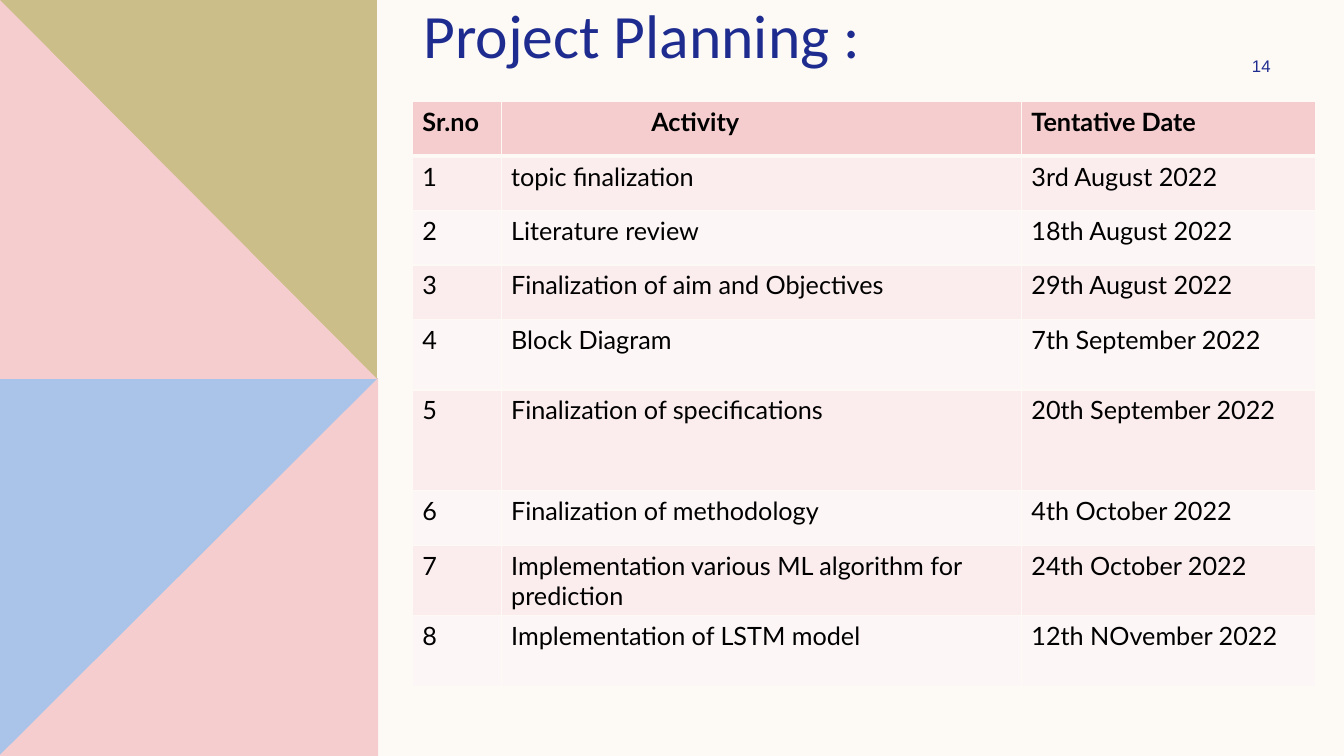
"""Build the project planning slide with its schedule table."""
from dataclasses import dataclass

from lxml import etree
from pptx import Presentation
from pptx.dml.color import RGBColor
from pptx.enum.text import MSO_ANCHOR, PP_ALIGN
from pptx.oxml.ns import qn
from pptx.util import Inches, Pt

MIDDLE = MSO_ANCHOR.MIDDLE
LEFT, CENTER = PP_ALIGN.LEFT, PP_ALIGN.CENTER

COLORS = {
    "cream": "FDFAF6",
    "blue": "AAC3E8",
    "pink": "F5CDCE",
    "olive": "CCBE89",
    "navy": "1F2C8F",
    "black": "000000",
    "band_dark": "FBEDED",
    "band_light": "FDF6F6",
}


@dataclass
class Panel:
    color: str
    corners: list[tuple[float, float]]


@dataclass
class Caption:
    text: str
    box: tuple[float, float, float, float]
    font: str
    size: int
    align: PP_ALIGN


@dataclass
class Activity:
    name: str
    date: str
    height: float = 0.54


PANELS = [
    Panel("blue", [(0, 3.75), (3.75, 3.75), (3.75, 7.5), (0, 7.5)]),
    Panel("pink", [(3.75, 3.75), (3.75, 7.5), (0, 7.5), (0, 7.49)]),
    Panel("olive", [(0, 0), (3.74, 0), (3.74, 3.76), (0, 3.76)]),
    Panel("pink", [(0, 0), (3.74, 3.76), (0, 3.76)]),
]
CAPTIONS = [
    Caption("Project Planning :", (4.1, -0.13, 5.14, 0.93), "Calibri", 44, LEFT),
    Caption("14", (11.97, 0.5, 1.08, 0.3), "Arial", 12, CENTER),
]
HEADINGS = ("Sr.no", "Activity", "Tentative Date")
HEADER_HEIGHT = 0.54
ACTIVITY_INDENT = 1.49
COLUMN_WIDTHS = (0.88, 5.16, 2.92)
ACTIVITIES = [
    Activity("topic finalization", "3rd August 2022"),
    Activity("Literature review", "18th August 2022"),
    Activity("Finalization of aim and Objectives", "29th August 2022"),
    Activity("Block Diagram", "7th September 2022", 0.7),
    Activity("Finalization of specifications", "20th September 2022", 1),
    Activity("Finalization of methodology", "4th October 2022"),
    Activity("Implementation various ML algorithm for prediction", "24th October 2022", 0.7),
    Activity("Implementation of LSTM model", "12th NOvember 2022", 0.7),
]


def rgb(color: str) -> RGBColor:
    return RGBColor.from_string(COLORS[color])


def style_font(paragraph, font: str, size: int, color: str, bold: bool = False) -> None:
    paragraph.font.name = font
    paragraph.font.size = Pt(size)
    paragraph.font.bold = bold
    paragraph.font.color.rgb = rgb(color)


def draw_panel(slide, panel: Panel) -> None:
    corners = [(Inches(x), Inches(y)) for x, y in panel.corners]
    builder = slide.shapes.build_freeform(*corners[0])
    builder.add_line_segments(corners[1:], close=True)
    outline = builder.convert_to_shape()
    outline.shadow.inherit = False
    outline.fill.solid()
    outline.fill.fore_color.rgb = rgb(panel.color)
    outline.line.fill.background()


def draw_caption(slide, caption: Caption) -> None:
    frame = slide.shapes.add_textbox(*map(Inches, caption.box)).text_frame
    frame.word_wrap = True
    frame.vertical_anchor = MIDDLE
    paragraph = frame.paragraphs[0]
    paragraph.text = caption.text
    paragraph.alignment = caption.align
    style_font(paragraph, caption.font, caption.size, "navy")


def set_borders(cell, top: int, bottom: int) -> None:
    properties = cell._tc.get_or_add_tcPr()
    widths = {"a:lnL": 1, "a:lnR": 1, "a:lnT": top, "a:lnB": bottom}
    for position, (tag, width) in enumerate(widths.items()):
        border = etree.Element(qn(tag), w=str(Pt(width)))
        fill = etree.SubElement(border, qn("a:solidFill"))
        etree.SubElement(fill, qn("a:srgbClr"), val=COLORS["cream"])
        properties.insert(position, border)


def draw_schedule(slide) -> None:
    rows = [HEADINGS] + [(str(n), a.name, a.date) for n, a in enumerate(ACTIVITIES, 1)]
    heights = [HEADER_HEIGHT] + [a.height for a in ACTIVITIES]
    schedule = slide.shapes.add_table(
        len(rows), len(HEADINGS), Inches(4.09), Inches(1.01),
        Inches(sum(COLUMN_WIDTHS)), Inches(sum(heights)),
    ).table
    for column, width in zip(schedule.columns, COLUMN_WIDTHS):
        column.width = Inches(width)
    for r, (texts, height) in enumerate(zip(rows, heights)):
        schedule.rows[r].height = Inches(height)
        band = "pink" if r == 0 else ("band_light", "band_dark")[r % 2]
        for c, text in enumerate(texts):
            cell = schedule.cell(r, c)
            cell.text = text
            cell.fill.solid()
            cell.fill.fore_color.rgb = rgb(band)
            style_font(cell.text_frame.paragraphs[0], "Lato", 18, "black", bold=r == 0)
            set_borders(cell, top=3 if r == 1 else 1, bottom=3 if r == 0 else 1)
    schedule.cell(0, 1).margin_left = Inches(ACTIVITY_INDENT)


def main() -> None:
    deck = Presentation()
    deck.slide_width, deck.slide_height = Inches(13.33), Inches(7.5)
    slide = deck.slides.add_slide(deck.slide_layouts[6])
    slide.background.fill.solid()
    slide.background.fill.fore_color.rgb = rgb("cream")
    for panel in PANELS:
        draw_panel(slide, panel)
    for caption in CAPTIONS:
        draw_caption(slide, caption)
    draw_schedule(slide)
    deck.save("out.pptx")


if __name__ == "__main__":
    main()
